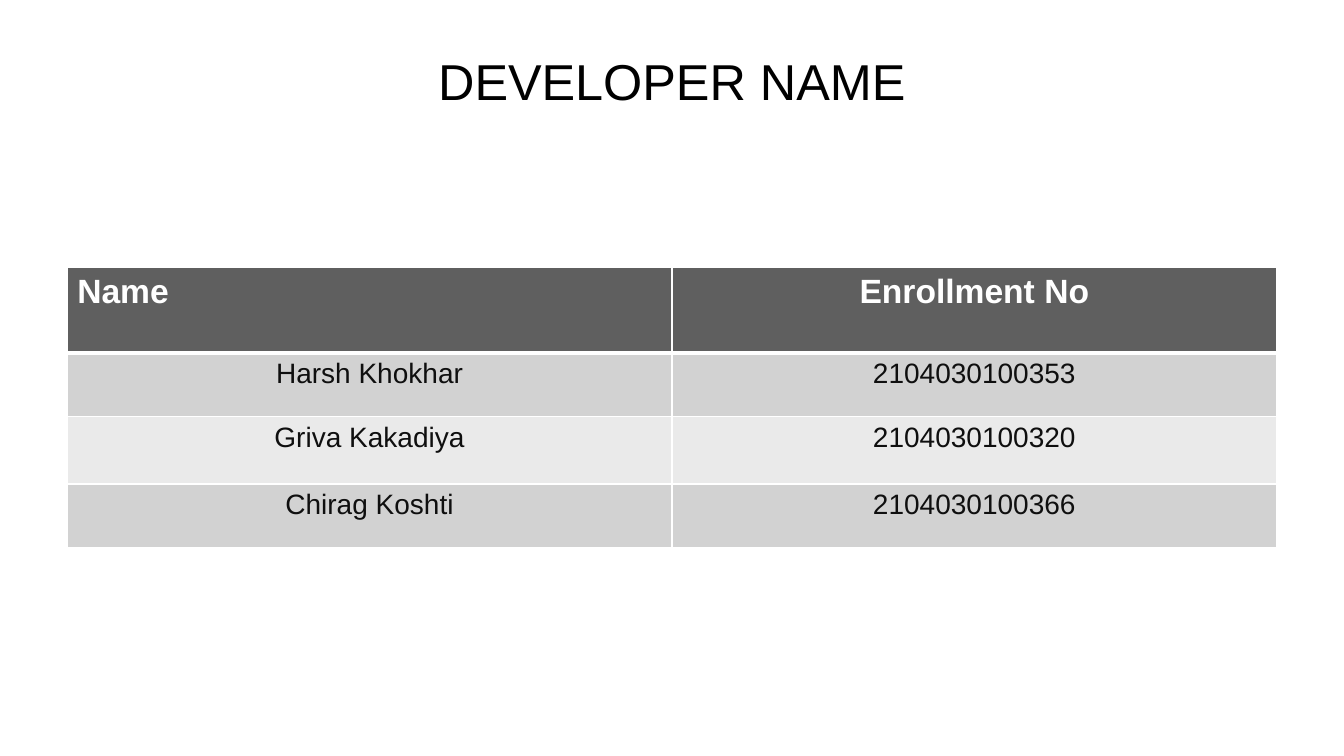
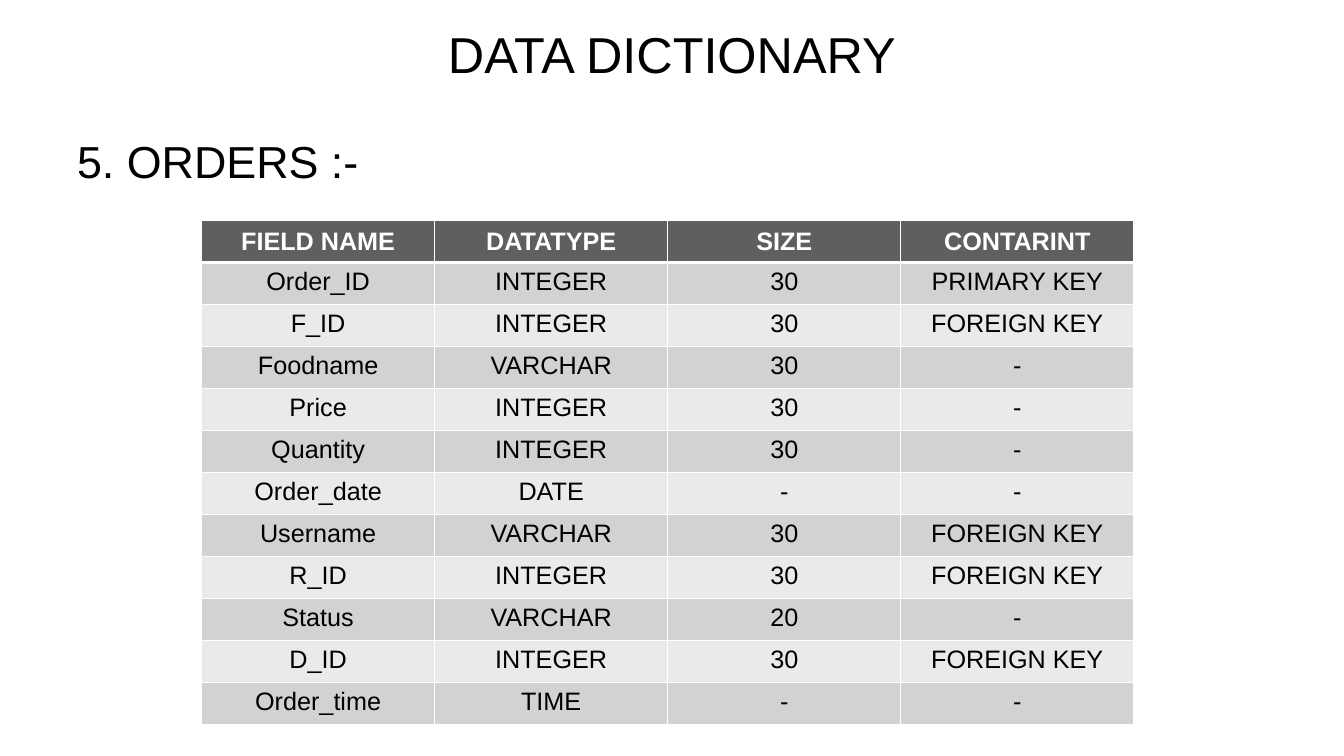
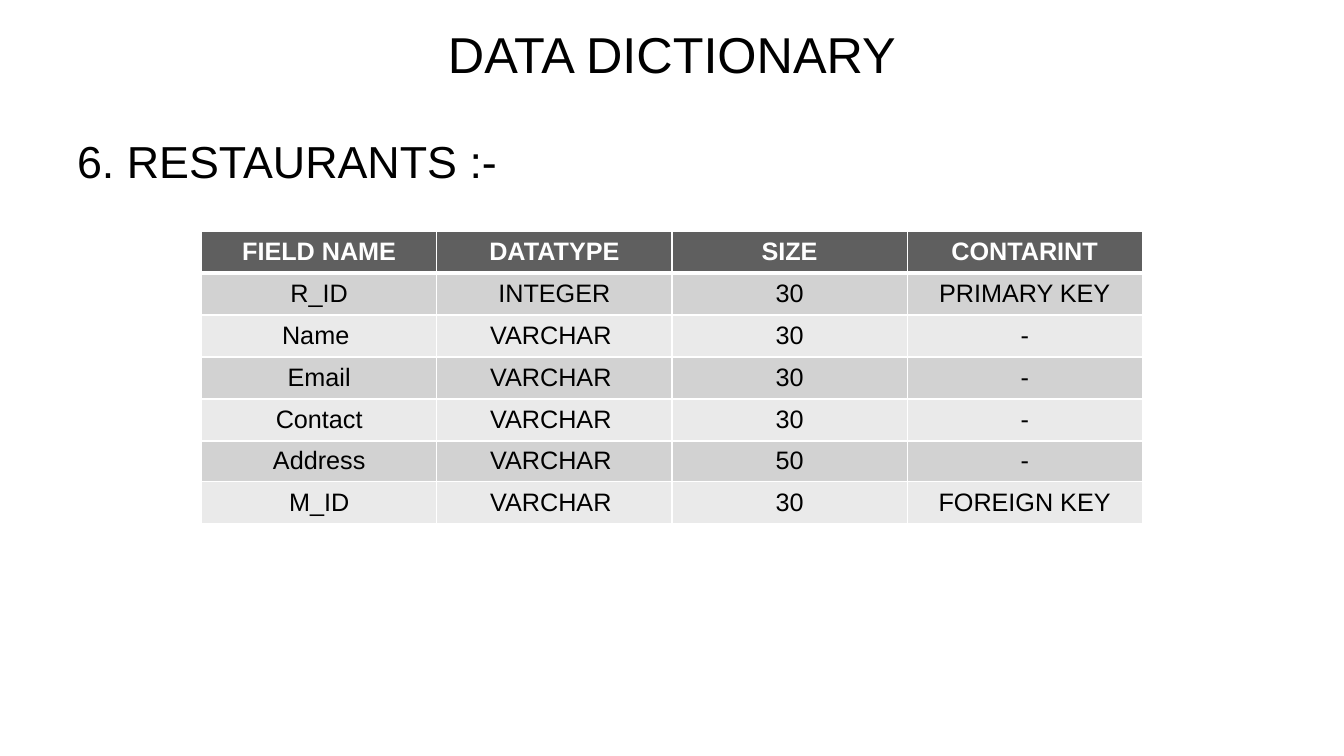
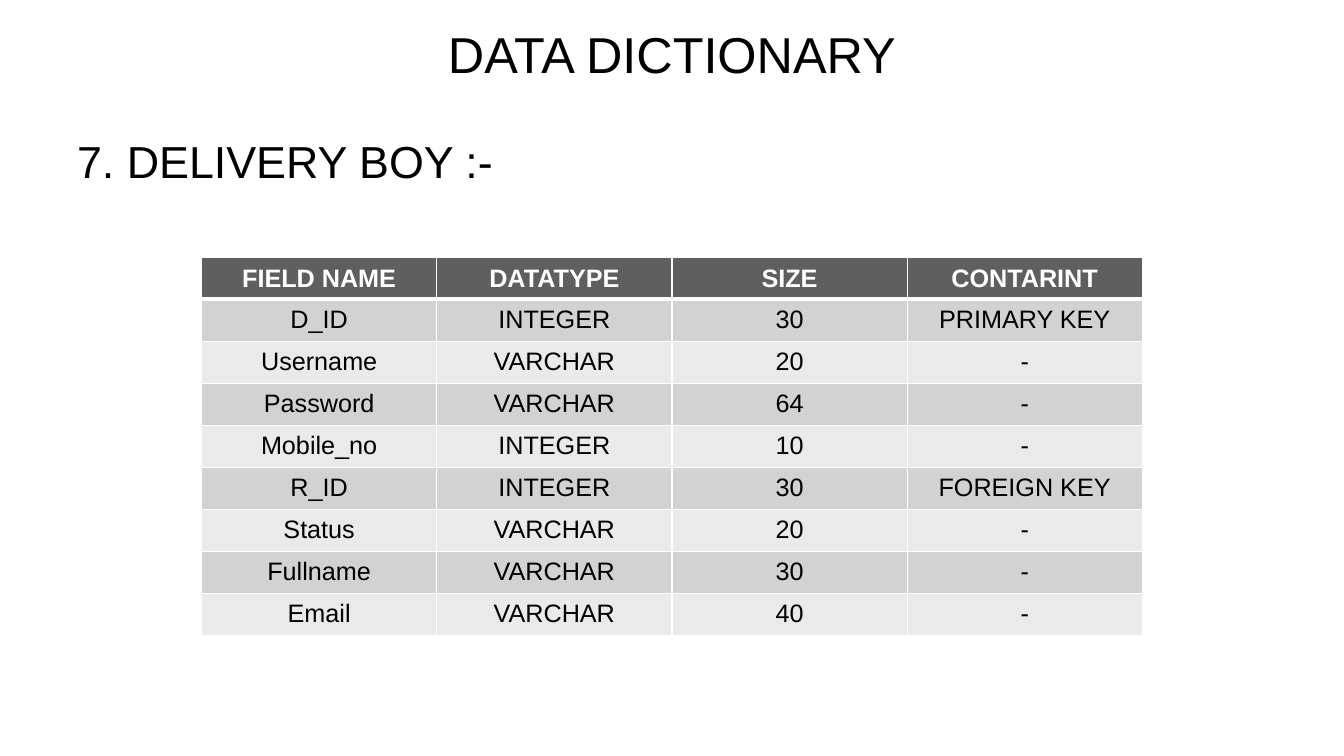
from dataclasses import dataclass

from lxml.etree import SubElement
from pptx import Presentation
from pptx.dml.color import RGBColor
from pptx.enum.text import MSO_ANCHOR as Anchor, MSO_AUTO_SIZE as AutoSize, PP_ALIGN as Align
from pptx.oxml.ns import qn
from pptx.util import Emu, Pt

EMU_PER_PX = 9525


@dataclass(frozen=True)
class Theme:
    font: str = "Arial"
    text: str = "000000"
    member_text: str = "0F0F0F"
    header_text: str = "FFFFFF"
    header_fill: str = "5F5F5F"
    bands: tuple[str, str] = ("D2D2D2", "EAEAEA")
    border: str = "FFFFFF"
    thin: int = 1
    thick: int = 3
    title_size: int = 36
    heading_size: int = 32
    member_header_size: int = 24
    member_size: int = 20
    field_size: int = 18


THEME = Theme()
FIELD_HEADER = ("FIELD NAME", "DATATYPE", "SIZE", "CONTARINT")


@dataclass(frozen=True)
class GridStyle:
    header_size: int = THEME.field_size
    body_size: int = THEME.field_size
    body_color: str = THEME.text
    header_anchor: Anchor = Anchor.MIDDLE
    body_anchor: Anchor = Anchor.MIDDLE
    first_header_align: Align = Align.CENTER


@dataclass(frozen=True)
class Grid:
    left: int
    top: int
    column_width: int
    row_heights: tuple[int, ...]
    rows: tuple[tuple[str, ...], ...]
    style: GridStyle = GridStyle()


@dataclass(frozen=True)
class Page:
    title: str
    title_top: int
    grid: Grid
    heading: str = ""


PAGES = (
    Page("DEVELOPER NAME", 46, Grid(
        64, 255, 576, (81, 61, 64, 61),
        (
            ("Name", "Enrollment No"),
            ("Harsh Khokhar", "2104030100353"),
            ("Griva Kakadiya", "2104030100320"),
            ("Chirag Koshti", "2104030100366"),
        ),
        GridStyle(THEME.member_header_size, THEME.member_size, THEME.member_text,
                  Anchor.TOP, Anchor.TOP, Align.LEFT),
    )),
    Page("DATA DICTIONARY", 20, Grid(
        192, 210, 222, (40,) * 12,
        (
            FIELD_HEADER,
            ("Order_ID", "INTEGER", "30", "PRIMARY KEY"),
            ("F_ID", "INTEGER", "30", "FOREIGN KEY"),
            ("Foodname", "VARCHAR", "30", "-"),
            ("Price", "INTEGER", "30", "-"),
            ("Quantity", "INTEGER", "30", "-"),
            ("Order_date", "DATE", "-", "-"),
            ("Username", "VARCHAR", "30", "FOREIGN KEY"),
            ("R_ID", "INTEGER", "30", "FOREIGN KEY"),
            ("Status", "VARCHAR", "20", "-"),
            ("D_ID", "INTEGER", "30", "FOREIGN KEY"),
            ("Order_time", "TIME", "-", "-"),
        ),
        GridStyle(body_anchor=Anchor.TOP),
    ), "5. ORDERS :-"),
    Page("DATA DICTIONARY", 20, Grid(
        192, 220, 224, (40,) * 5 + (37, 40),
        (
            FIELD_HEADER,
            ("R_ID", "INTEGER", "30", "PRIMARY KEY"),
            ("Name ", "VARCHAR ", "30", "-"),
            ("Email", "VARCHAR ", "30", "-"),
            ("Contact", "VARCHAR ", "30", "-"),
            ("Address", "VARCHAR ", "50", "-"),
            ("M_ID", "VARCHAR ", "30", "FOREIGN KEY"),
        ),
    ), "6. RESTAURANTS :-"),
    Page("DATA DICTIONARY", 20, Grid(
        192, 245, 224, (40,) * 9,
        (
            FIELD_HEADER,
            ("D_ID", "INTEGER", "30", "PRIMARY KEY"),
            ("Username", "VARCHAR", "20", "-"),
            ("Password", "VARCHAR", "64", "-"),
            ("Mobile_no", "INTEGER", "10", "-"),
            ("R_ID", "INTEGER", "30", "FOREIGN KEY"),
            ("Status", "VARCHAR", "20", "-"),
            ("Fullname", "VARCHAR", "30", "-"),
            ("Email", "VARCHAR", "40", "-"),
        ),
    ), "7. DELIVERY BOY :-"),
)


def px(length: int) -> Emu:
    return Emu(length * EMU_PER_PX)


def write(para, text: str, size: int, color: str = THEME.text,
          align: Align = Align.CENTER, bold: bool = False) -> None:
    para.alignment = align
    span = para.add_run()
    span.text = text
    span.font.name = THEME.font
    span.font.size = Pt(size)
    span.font.bold = bold
    span.font.color.rgb = RGBColor.from_string(color)


def add_title(slide, text: str, top: int) -> None:
    title = slide.shapes.title
    title.left, title.top, title.width, title.height = px(64), px(top), px(1152), px(61)
    frame = title.text_frame
    frame.auto_size = AutoSize.NONE
    frame.vertical_anchor = Anchor.MIDDLE
    write(frame.paragraphs[0], text, THEME.title_size)


def add_heading(slide, text: str) -> None:
    box = slide.shapes.add_textbox(px(64), px(123), px(1152), px(520))
    box.text_frame.word_wrap = True
    para = box.text_frame.paragraphs[0]
    para.space_before = Pt(6)
    write(para, text, THEME.heading_size, align=Align.LEFT)


def add_borders(cell, top: int, bottom: int) -> None:
    properties = cell._tc.get_or_add_tcPr()
    widths = {"a:lnL": THEME.thin, "a:lnR": THEME.thin, "a:lnT": top, "a:lnB": bottom}
    for tag, width in widths.items():
        line = SubElement(properties, qn(tag), w=str(Pt(width)))
        fill = SubElement(line, qn("a:solidFill"))
        SubElement(fill, qn("a:srgbClr"), val=THEME.border)


def fill_cell(cell, text: str, row: int, column: int, style: GridStyle) -> None:
    header = row == 0
    add_borders(cell, THEME.thick if row == 1 else THEME.thin,
                THEME.thick if header else THEME.thin)
    cell.fill.solid()
    cell.fill.fore_color.rgb = RGBColor.from_string(
        THEME.header_fill if header else THEME.bands[(row - 1) % 2])
    cell.vertical_anchor = style.header_anchor if header else style.body_anchor
    write(
        cell.text_frame.paragraphs[0], text,
        style.header_size if header else style.body_size,
        THEME.header_text if header else style.body_color,
        style.first_header_align if header and column == 0 else Align.CENTER,
        header,
    )


def add_grid(slide, grid: Grid) -> None:
    columns = len(grid.rows[0])
    table = slide.shapes.add_table(
        len(grid.rows), columns, px(grid.left), px(grid.top),
        px(columns * grid.column_width), px(sum(grid.row_heights))).table
    table.horz_banding = False
    for column in table.columns:
        column.width = px(grid.column_width)
    for row, (height, texts) in enumerate(zip(grid.row_heights, grid.rows)):
        table.rows[row].height = px(height)
        for column, text in enumerate(texts):
            fill_cell(table.cell(row, column), text, row, column, grid.style)


def main() -> None:
    deck = Presentation()
    deck.slide_width, deck.slide_height = px(1280), px(720)
    title_only = deck.slide_layouts[5]
    for page in PAGES:
        slide = deck.slides.add_slide(title_only)
        add_title(slide, page.title, page.title_top)
        if page.heading:
            add_heading(slide, page.heading)
        add_grid(slide, page.grid)
    deck.save("out.pptx")


if __name__ == "__main__":
    main()
